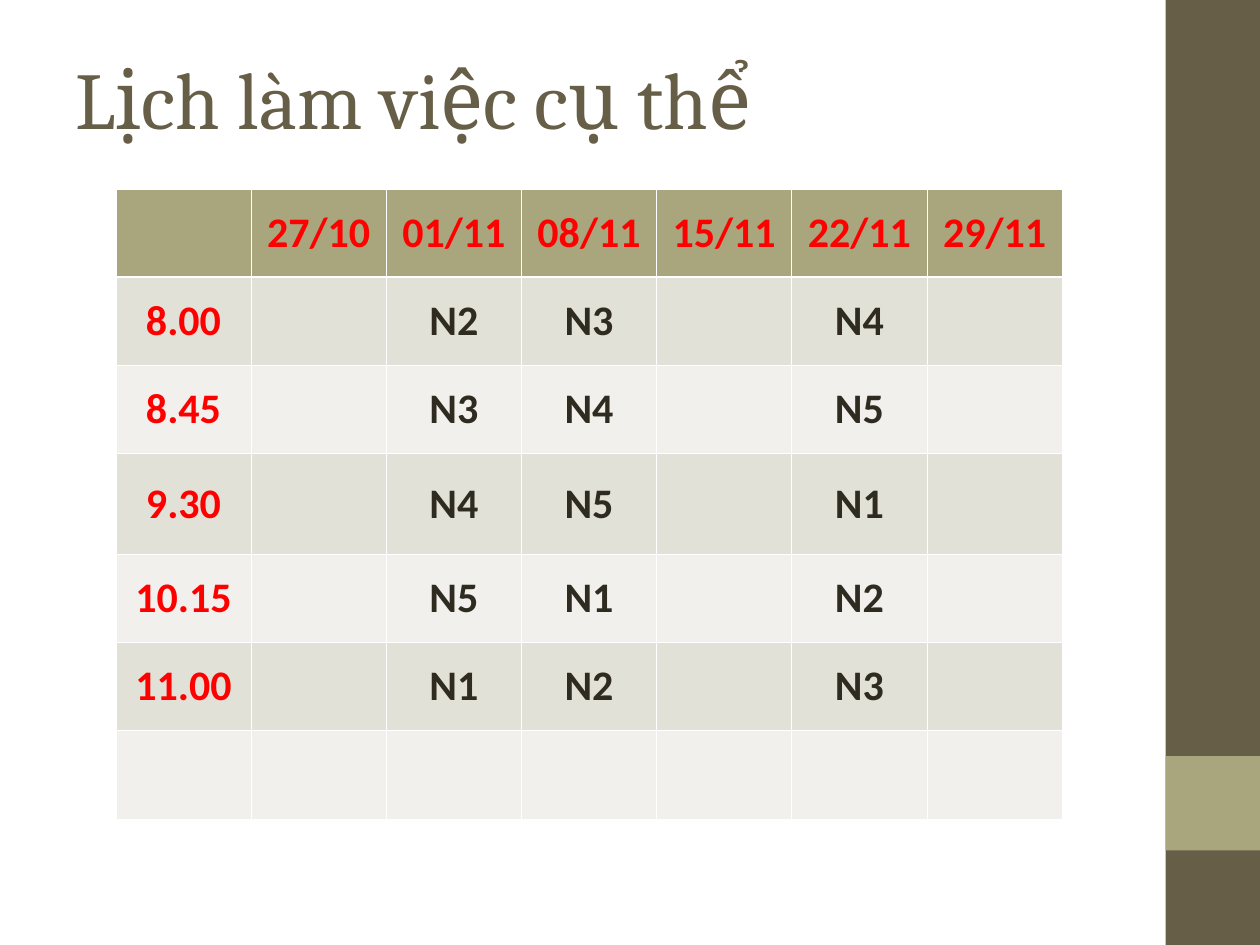
from lxml.etree import SubElement
from pptx import Presentation
from pptx.dml.color import RGBColor
from pptx.enum.shapes import MSO_SHAPE
from pptx.enum.text import MSO_ANCHOR, PP_ALIGN
from pptx.oxml.ns import qn
from pptx.util import Pt

BROWN = RGBColor(0x67, 0x5E, 0x47)
OLIVE = RGBColor(0xA9, 0xA5, 0x7C)
BAND_DARK = RGBColor(0xE2, 0xE1, 0xD7)
BAND_LIGHT = RGBColor(0xF1, 0xF0, 0xEC)
RED = RGBColor(0xFF, 0x00, 0x00)
INK = RGBColor(0x2F, 0x2B, 0x20)
WHITE = RGBColor(0xFF, 0xFF, 0xFF)

THIN, THICK = 0.45, 1.47
COLUMN_WIDTH = 77.25
ROW_HEIGHTS = [50.4, 50.4, 50.4, 57.6, 50.4, 50.4, 50.4]
SCHEDULE = [
    ["", "27/10", "01/11", "08/11", "15/11", "22/11", "29/11"],
    ["8.00", "", "N2", "N3", "", "N4", ""],
    ["8.45", "", "N3", "N4", "", "N5", ""],
    ["9.30", "", "N4", "N5", "", "N1", ""],
    ["10.15", "", "N5", "N1", "", "N2", ""],
    ["11.00", "", "N1", "N2", "", "N3", ""],
    [""] * 7,
]


def write_text(text_frame, text, *, size, font, color, bold=False, align=PP_ALIGN.LEFT):
    paragraph = text_frame.paragraphs[0]
    paragraph.alignment = align
    run = paragraph.add_run()
    run.text = text
    run.font.size = Pt(size)
    run.font.name = font
    run.font.bold = bold
    run.font.color.rgb = color


def add_block(slide, left, top, width, height, color):
    shape = slide.shapes.add_shape(
        MSO_SHAPE.RECTANGLE, Pt(left), Pt(top), Pt(width), Pt(height))
    shape.shadow.inherit = False
    shape.fill.solid()
    shape.fill.fore_color.rgb = color
    shape.line.fill.background()


def add_title(slide, text):
    box = slide.shapes.add_textbox(Pt(36), Pt(21.6), Pt(648), Pt(68.4))
    box.text_frame.word_wrap = True
    box.text_frame.vertical_anchor = MSO_ANCHOR.MIDDLE
    write_text(box.text_frame, text, size=46, font="Cambria", color=BROWN)


def set_borders(cell, top, bottom):
    properties = cell._tc.get_or_add_tcPr()
    widths = {"a:lnL": THIN, "a:lnR": THIN, "a:lnT": top, "a:lnB": bottom}
    for tag, width in widths.items():
        line = SubElement(properties, qn(tag), w=str(Pt(width)))
        fill = SubElement(line, qn("a:solidFill"))
        SubElement(fill, qn("a:srgbClr"), val=str(WHITE))


def format_cell(cell, text, row, column):
    # Borders come before the fill in the cell properties
    set_borders(cell, THICK if row == 1 else THIN, THICK if row == 0 else THIN)
    cell.fill.solid()
    if row == 0:
        cell.fill.fore_color.rgb = OLIVE
    else:
        cell.fill.fore_color.rgb = BAND_DARK if row % 2 else BAND_LIGHT
    cell.vertical_anchor = MSO_ANCHOR.MIDDLE
    if text:
        write_text(cell.text_frame, text, size=24, font="Calibri", bold=True,
                   color=RED if row == 0 or column == 0 else INK,
                   align=PP_ALIGN.CENTER)


def add_schedule(slide):
    column_count = len(SCHEDULE[0])
    table = slide.shapes.add_table(
        len(SCHEDULE), column_count, Pt(66.25), Pt(108),
        Pt(COLUMN_WIDTH * column_count), Pt(sum(ROW_HEIGHTS))).table
    for column in table.columns:
        column.width = Pt(COLUMN_WIDTH)
    for row, (height, texts) in enumerate(zip(ROW_HEIGHTS, SCHEDULE)):
        table.rows[row].height = Pt(height)
        for column, text in enumerate(texts):
            format_cell(table.cell(row, column), text, row, column)


def main():
    presentation = Presentation()
    presentation.slide_width = Pt(720)
    presentation.slide_height = Pt(540)
    slide = presentation.slides.add_slide(presentation.slide_layouts[6])

    # Side band with its accent square
    add_block(slide, 666, 0, 54, 540, BROWN)
    add_block(slide, 666, 432, 54, 54, OLIVE)

    # Title and timetable
    add_title(slide, "Lịch làm việc cụ thể")
    add_schedule(slide)

    presentation.save("out.pptx")


if __name__ == "__main__":
    main()
